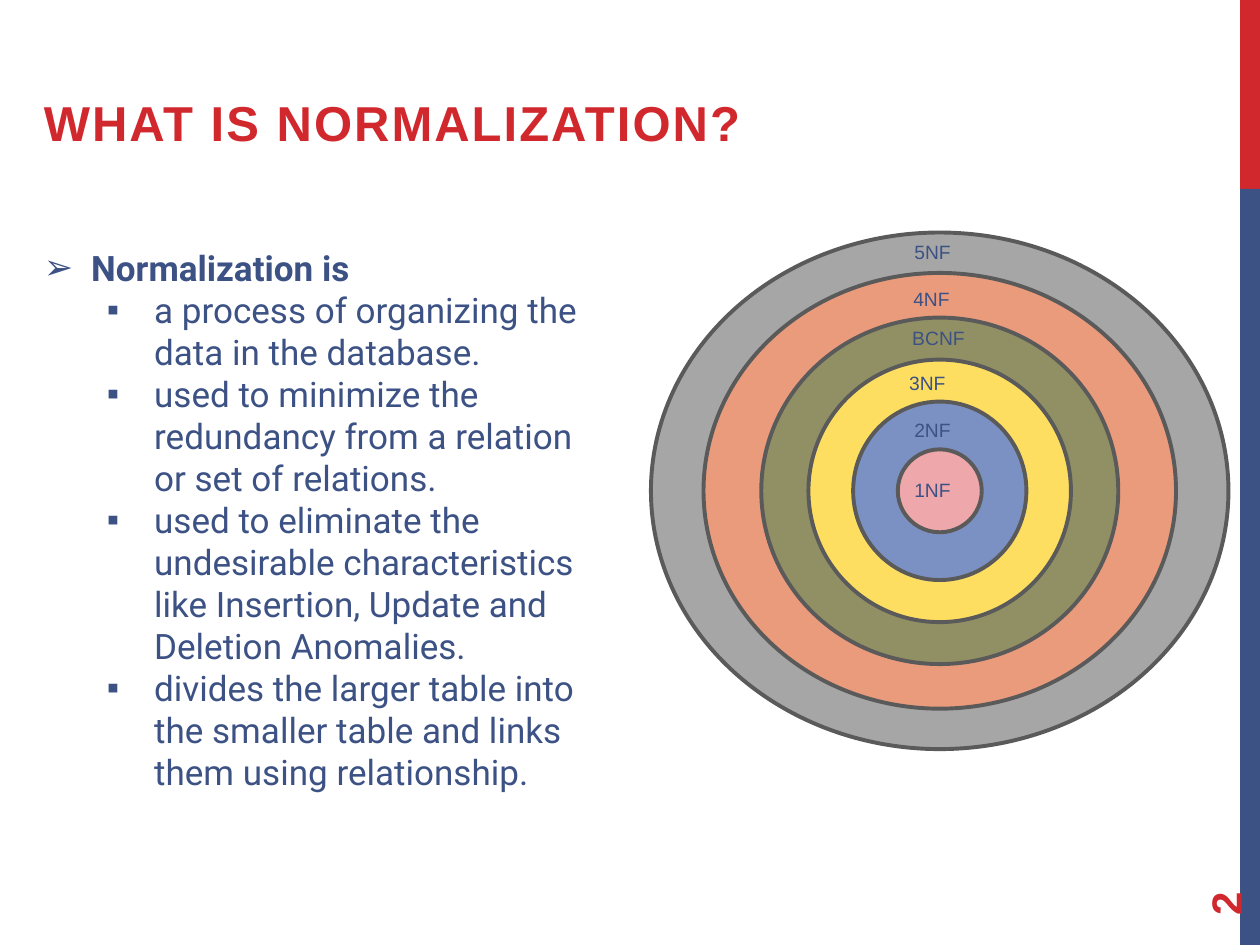
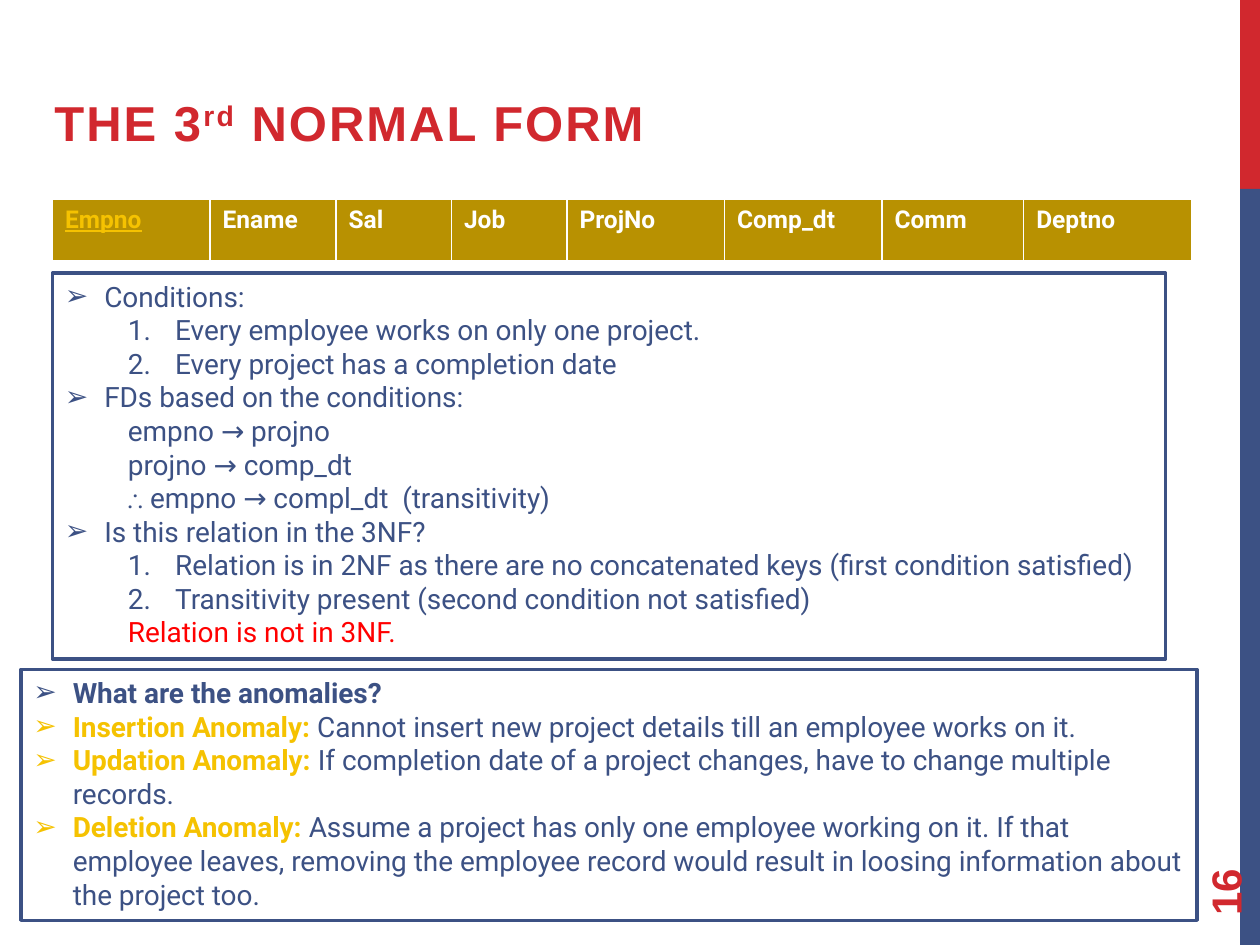
from dataclasses import dataclass

from lxml.etree import SubElement
from pptx import Presentation
from pptx.dml.color import RGBColor
from pptx.enum.shapes import MSO_SHAPE
from pptx.enum.text import MSO_ANCHOR, MSO_AUTO_SIZE, PP_ALIGN
from pptx.oxml.ns import qn
from pptx.util import Inches, Pt

RED = RGBColor(0xD1, 0x28, 0x2E)
NAVY = RGBColor(0x3C, 0x51, 0x84)
GOLD = RGBColor(0xF5, 0xC2, 0x01)
DARK_GOLD = RGBColor(0xB8, 0x91, 0x01)
ALERT = RGBColor(0xFF, 0x00, 0x00)
WHITE = RGBColor(0xFF, 0xFF, 0xFF)
OUTLINE = RGBColor(0x5A, 0x5A, 0x5A)
GREY = RGBColor(0xA6, 0xA6, 0xA6)
ORANGE = RGBColor(0xEA, 0x9B, 0x7C)
OLIVE = RGBColor(0x91, 0x90, 0x64)
YELLOW = RGBColor(0xFE, 0xDE, 0x61)
BLUE = RGBColor(0x7C, 0x91, 0xC3)
PINK = RGBColor(0xEE, 0xA7, 0xAA)

SLIDE_WIDTH, SLIDE_HEIGHT = Inches(10), Inches(7.5)
COLUMNS, ROWS = 120, 90

TITLE = {"name": "Arial", "size": Pt(28), "bold": True, "color": RED, "spc": 120}
NUMBER = {"name": "Arial", "size": Pt(24), "bold": True, "color": RED}
LABEL = {"name": "Arial", "size": Pt(11), "color": NAVY}
BODY = {"name": "Roboto", "size": Pt(20), "color": NAVY}
NOTE = BODY | {"size": Pt(16)}
HEADER = {"name": "Roboto", "size": Pt(14), "bold": True, "color": WHITE}

PLAIN = {}
TOPIC = {"indent": 4.5, "hanging": 4.5, "bullet": "➢"}
POINT = {"level": 1, "indent": 10.5, "hanging": 4.5, "bullet": "▪"}
HEADING = {"indent": 3.75, "hanging": 3.75, "bullet": "➢"}
STEP = {"level": 1, "indent": 10.5, "hanging": 4.5, "numbered": True}
DETAIL = {"level": 1, "indent": 6}


def columns(count):
    return round(SLIDE_WIDTH * count / COLUMNS)


def rows(count):
    return round(SLIDE_HEIGHT * count / ROWS)


def place(left, top, width, height):
    return columns(left), rows(top), columns(width), rows(height)


@dataclass
class Deck:
    presentation: Presentation
    slide: object = None

    def start(self, page, title_left, *title_runs):
        self.slide = self.presentation.slides.add_slide(self.presentation.slide_layouts[6])
        for top, height, color in ((0, 18, RED), (18, 72, NAVY)):
            self.shape(MSO_SHAPE.RECTANGLE, (118.1, top, 1.9, height), color)
        title = self.text((title_left, 7, 105 - title_left, 8), TITLE,
                          [(PLAIN, *title_runs)], vertical_anchor=MSO_ANCHOR.BOTTOM)
        title.text_frame.paragraphs[0].space_after = Pt(6)
        number = self.text((108, 77.3, 17.3, 4.8), NUMBER, [(PLAIN, page)],
                           vertical_anchor=MSO_ANCHOR.MIDDLE)
        number.rotation = 270

    def shape(self, kind, area, fill=None, line=None, weight=0, parent=None):
        shape = (parent or self.slide).shapes.add_shape(kind, *place(*area))
        shape.shadow.inherit = False
        if fill is None:
            shape.fill.background()
        else:
            shape.fill.solid()
            shape.fill.fore_color.rgb = fill
        if line is None:
            shape.line.fill.background()
        else:
            shape.line.color.rgb = line
            shape.line.width = Pt(weight)
        return shape

    def text(self, area, style, paragraphs, parent=None, **frame_format):
        box = (parent or self.slide).shapes.add_textbox(*place(*area))
        self.fill_text(box.text_frame, style, paragraphs, **frame_format)
        return box

    def panel(self, area, paragraphs):
        panel = self.shape(MSO_SHAPE.RECTANGLE, area, line=NAVY, weight=2)
        self.fill_text(panel.text_frame, NOTE, paragraphs,
                       auto_size=MSO_AUTO_SIZE.SHAPE_TO_FIT_TEXT)

    def fill_text(self, frame, style, paragraphs, **frame_format):
        settings = {"word_wrap": True, "vertical_anchor": MSO_ANCHOR.TOP} | frame_format
        for name, value in settings.items():
            setattr(frame, name, value)
        for index, (layout, *runs) in enumerate(paragraphs):
            paragraph = frame.add_paragraph() if index else frame.paragraphs[0]
            paragraph.alignment = PP_ALIGN.LEFT
            self.indent(paragraph, **layout)
            for run in runs:
                words, change = (run, {}) if isinstance(run, str) else run
                self.run(paragraph, words, style | change)

    def indent(self, paragraph, level=0, indent=0, hanging=0, bullet=None, numbered=False):
        paragraph.level = level
        properties = paragraph._p.get_or_add_pPr()
        properties.set("marL", str(columns(indent)))
        properties.set("indent", str(-columns(hanging)))
        if bullet:
            SubElement(properties, qn("a:buFont"), typeface="Arial")
            SubElement(properties, qn("a:buChar"), char=bullet)
        elif numbered:
            SubElement(properties, qn("a:buFont"), typeface="Roboto")
            SubElement(properties, qn("a:buAutoNum"), type="arabicPeriod")
        else:
            SubElement(properties, qn("a:buNone"))

    def run(self, paragraph, words, style):
        run = paragraph.add_run()
        run.text = words
        for name, value in style.items():
            if name == "color":
                run.font.color.rgb = value
            elif name in ("spc", "baseline"):
                run._r.get_or_add_rPr().set(name, str(value))
            else:
                setattr(run.font, name, value)

    def rings(self, center, sizes_and_fills, labels):
        group = self.slide.shapes.add_group_shape()
        x, y = center
        for width, height, fill in sizes_and_fills:
            self.shape(MSO_SHAPE.FLOWCHART_CONNECTOR,
                       (x - width / 2, y - height / 2, width, height),
                       fill, OUTLINE, 2.25, group)
        for name, left, top, width in labels:
            self.text((left, top, width, 3.5), LABEL, [(PLAIN, name)], group,
                      word_wrap=False, auto_size=MSO_AUTO_SIZE.SHAPE_TO_FIT_TEXT)

    def header_row(self, left, top, height, fields):
        total = sum(width for _, width, _ in fields)
        frame = self.slide.shapes.add_table(1, len(fields), *place(left, top, total, height))
        table = frame.table
        table.horz_banding = False
        for index, (name, width, change) in enumerate(fields):
            table.columns[index].width = columns(width)
            cell = table.cell(0, index)
            self.fill_text(cell.text_frame, HEADER, [(PLAIN, (name, change))])
            self.borders(cell, {"lnL": 1, "lnR": 1, "lnT": 1, "lnB": 3})
            cell.fill.solid()
            cell.fill.fore_color.rgb = DARK_GOLD

    def borders(self, cell, weights):
        properties = cell._tc.get_or_add_tcPr()
        for side, weight in weights.items():
            line = SubElement(properties, qn(f"a:{side}"), w=str(int(Pt(weight))))
            fill = SubElement(line, qn("a:solidFill"))
            SubElement(fill, qn("a:srgbClr"), val=str(WHITE))


def normalization_slide(deck):
    deck.start("2", 3, "WHAT IS NORMALIZATION?")
    deck.text((3, 22.9, 56, 53.8), BODY, [
        (TOPIC, ("Normalization is", {"bold": True})),
        (POINT, "a process of organizing the data in the database."),
        (POINT, "used to minimize the redundancy from a relation or set of relations."),
        (POINT, "used to eliminate the undesirable characteristics like Insertion, "
                "Update and Deletion Anomalies."),
        (POINT, "divides the larger table into the smaller table and links them "
                "using relationship."),
    ], auto_size=MSO_AUTO_SIZE.SHAPE_TO_FIT_TEXT)
    deck.rings((89.5, 46.75), [
        (55, 49.2, GREY),
        (45, 41.5, ORANGE),
        (34, 33, OLIVE),
        (25, 25, YELLOW),
        (16.5, 17, BLUE),
        (8, 7.9, PINK),
    ], [
        ("5NF", 85.9, 22.3, 7.1),
        ("4NF", 85.8, 26.8, 7.2),
        ("BCNF", 85.7, 30.5, 8.4),
        ("3NF", 85.4, 34.8, 7.1),
        ("2NF", 85.9, 39.2, 7),
        ("1NF", 85.9, 45, 6.5),
    ])


def third_form_slide(deck):
    deck.start("16", 4, "THE 3", ("rd", {"baseline": 30000}), " NORMAL FORM")
    deck.header_row(5, 19, 6, [
        ("Empno", 15, {"color": GOLD, "underline": True}),
        ("Ename", 12, {}),
        ("Sal", 11, {}),
        ("Job", 11, {}),
        ("ProjNo", 15, {}),
        ("Comp_dt", 15, {}),
        ("Comm", 13.5, {}),
        ("Deptno", 16, {}),
    ])
    deck.panel((5, 26, 106, 36.75), [
        (HEADING, "Conditions:"),
        (STEP, "Every employee works on only one project."),
        (STEP, "Every project has a completion date"),
        (HEADING, "FDs based on the conditions:"),
        (DETAIL, "empno → projno"),
        (DETAIL, "projno → comp_dt"),
        (DETAIL, "⸫ empno → compl_dt  (transitivity)"),
        (HEADING, "Is this relation in the 3NF?"),
        (STEP, "Relation is in 2NF as there are no concatenated keys "
               "(first condition satisfied)"),
        (STEP, "Transitivity present (second condition not satisfied)"),
        (DETAIL, ("Relation is not in 3NF.", {"color": ALERT})),
    ])
    anomalies = {
        "Insertion": "Cannot insert new project details till an employee works on it.",
        "Updation": "If completion date of a project changes, have to change multiple records.",
        "Deletion": "Assume a project has only one employee working on it. If that employee "
                    "leaves, removing the employee record would result in loosing "
                    "information about the project too.",
    }
    deck.panel((2, 63.75, 112, 23.9), [
        (HEADING, ("What are the anomalies?", {"bold": True})),
        *((HEADING, (f"{name} Anomaly: ", {"bold": True, "color": GOLD}), effect)
          for name, effect in anomalies.items()),
    ])


def main():
    presentation = Presentation()
    presentation.slide_width, presentation.slide_height = SLIDE_WIDTH, SLIDE_HEIGHT
    deck = Deck(presentation)
    normalization_slide(deck)
    third_form_slide(deck)
    presentation.save("out.pptx")


if __name__ == "__main__":
    main()
